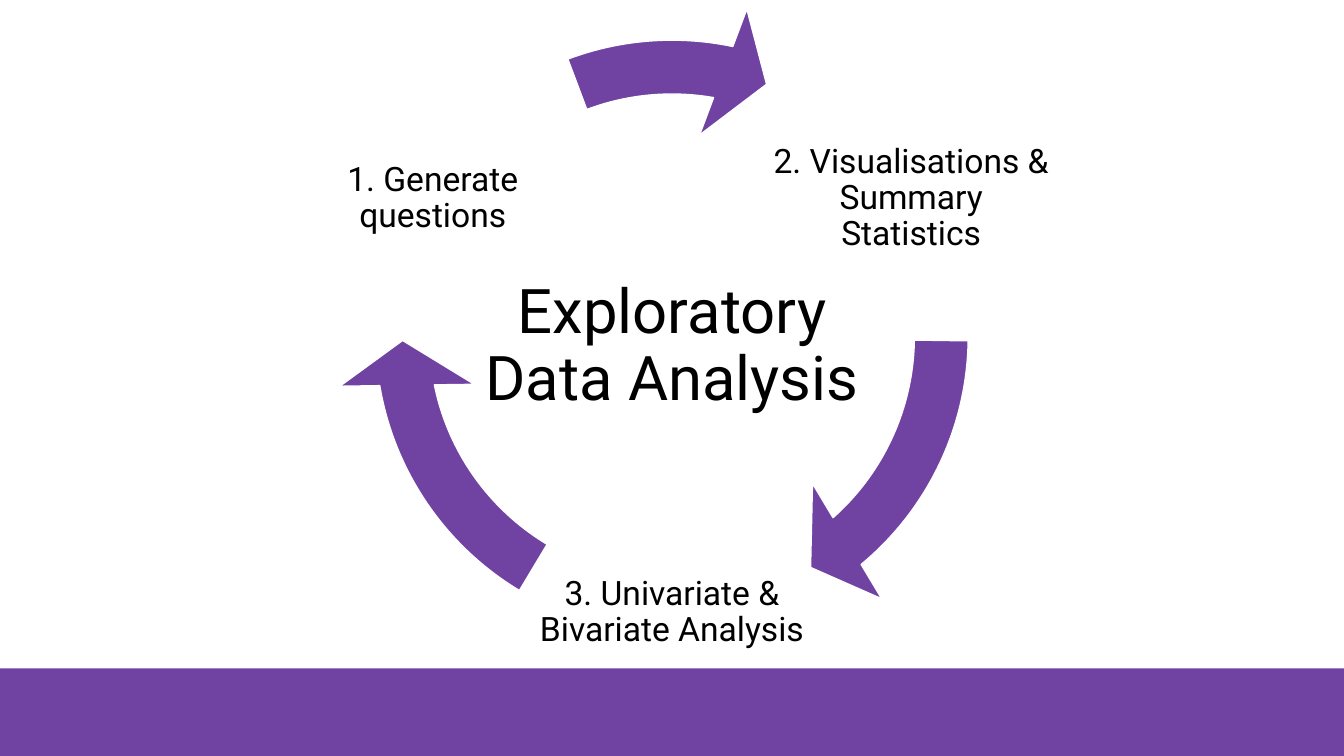
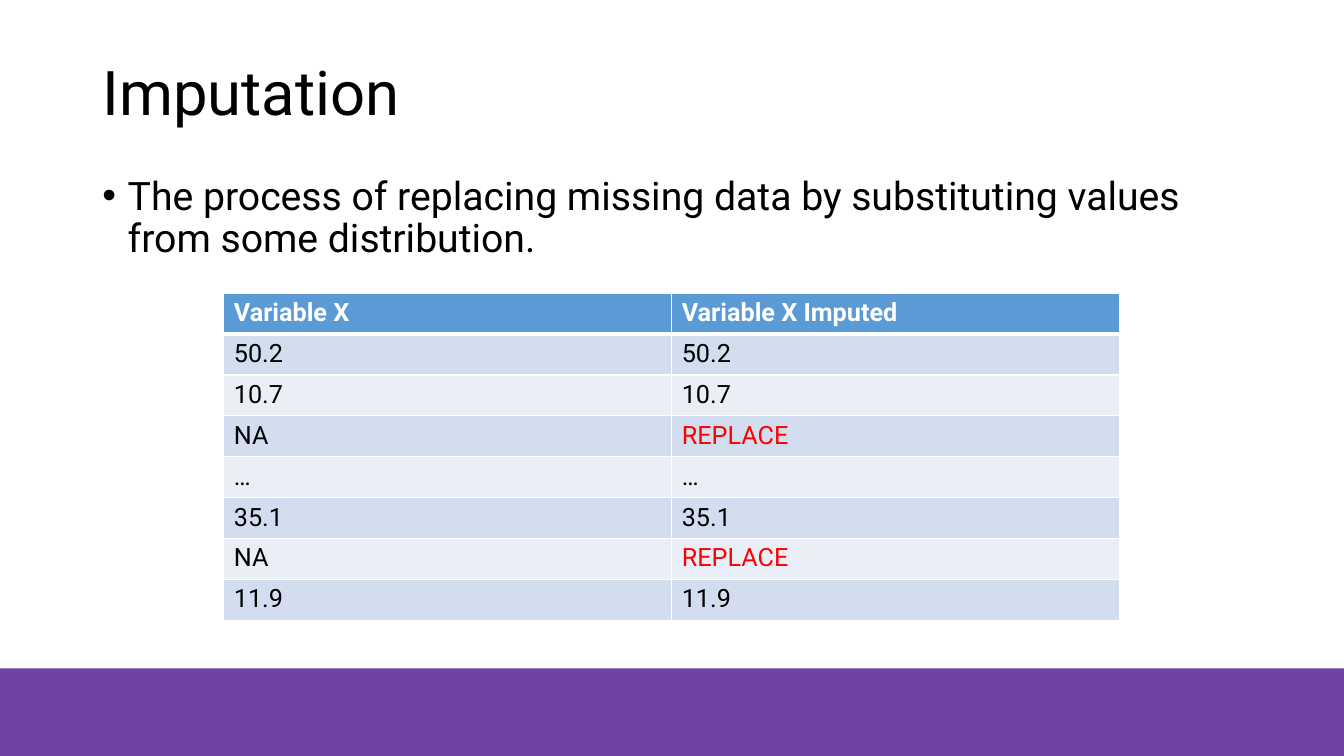
"""Build two slides on exploratory data analysis and imputation."""
from math import cos, radians, sin

from lxml import etree
from pptx import Presentation
from pptx.dml.color import RGBColor
from pptx.enum.shapes import MSO_SHAPE
from pptx.enum.text import MSO_ANCHOR, MSO_AUTO_SIZE, PP_ALIGN
from pptx.oxml.ns import qn
from pptx.util import Cm, Pt

RECT, ARC = MSO_SHAPE.RECTANGLE, MSO_SHAPE.CIRCULAR_ARROW
LEFT, MID = PP_ALIGN.LEFT, PP_ALIGN.CENTER
TOP, CORE = MSO_ANCHOR.TOP, MSO_ANCHOR.MIDDLE
FIXED = MSO_AUTO_SIZE.NONE
WIDE, HIGH = 33.87, 19.05
FONT = "Roboto"
HUES = {
    "band": "7043A2", "ink": "000000", "white": "FFFFFF", "alert": "FF0000",
    "head": "5B9BD5", "odd": "D2DEEF", "even": "EAEFF7",
}


def hue(name):
    return RGBColor.from_string(HUES[name])


def write(frame, text, size=18, color="ink", bold=False, align=LEFT,
          space=1.0, before=0, bullet=False):
    para = frame.paragraphs[0]
    para.alignment, para.line_spacing = align, space
    para.space_before = Pt(before)
    run = para.add_run()
    run.text = text
    run.font.name, run.font.size, run.font.bold = FONT, Pt(size), bold
    run.font.color.rgb = hue(color)
    if bullet:
        props = para._p.get_or_add_pPr()
        props.set("marL", str(Cm(0.64)))
        props.set("indent", str(-Cm(0.64)))
        etree.SubElement(props, qn("a:buFont"), typeface="Arial")
        etree.SubElement(props, qn("a:buChar"), char="•")


class Deck:
    def __init__(self):
        self.show = Presentation()
        self.show.slide_width, self.show.slide_height = Cm(WIDE), Cm(HIGH)
        self.slide = None

    def page(self, title, box, align=LEFT):
        self.slide = self.show.slides.add_slide(self.show.slide_layouts[5])
        self.shape(RECT, (0, 16.84, WIDE, HIGH - 16.84))
        head = self.slide.shapes.title
        head.left, head.top, head.width, head.height = map(Cm, box)
        frame = head.text_frame
        frame.word_wrap, frame.auto_size = True, FIXED
        frame.vertical_anchor = CORE
        write(frame, title, size=44, align=align, space=0.9)

    def shape(self, kind, box, line=None):
        form = self.slide.shapes.add_shape(kind, *map(Cm, box))
        form.shadow.inherit = False
        form.fill.solid()
        form.fill.fore_color.rgb = hue("band")
        if line:
            form.line.color.rgb, form.line.width = hue(line), Pt(1)
        else:
            form.line.fill.background()
        return form

    def arrow(self, box, start, end):
        form = self.shape(ARC, box, line="white")
        turn = 0.6
        values = (0.08, 9.6 * turn, end * turn, start * turn, 0.1)
        for i, value in enumerate(values):
            form.adjustments[i] = value

    def text(self, box, text, inset=0.25, anchor=TOP, **style):
        frame = self.slide.shapes.add_textbox(*map(Cm, box)).text_frame
        frame.word_wrap, frame.auto_size = True, FIXED
        frame.vertical_anchor = anchor
        frame.margin_left = frame.margin_right = Cm(inset)
        frame.margin_top = frame.margin_bottom = Cm(min(inset, 0.13))
        write(frame, text, space=0.9, **style)

    def edge(self, cell, side, width):
        line = etree.SubElement(cell._tc.get_or_add_tcPr(),
                                qn("a:ln" + side), w=str(Pt(width)))
        fill = etree.SubElement(line, qn("a:solidFill"))
        etree.SubElement(fill, qn("a:srgbClr"), val=HUES["white"])

    def table(self, box, rows):
        grid = self.slide.shapes.add_table(
            len(rows), len(rows[0]), *map(Cm, box)).table
        for r, row in enumerate(rows):
            for c, text in enumerate(row):
                cell = grid.cell(r, c)
                for side in "LRTB":
                    thick = (r, side) in ((0, "B"), (1, "T"))
                    self.edge(cell, side, 3 if thick else 1)
                shade = "head" if r == 0 else "odd" if r % 2 else "even"
                cell.fill.solid()
                cell.fill.fore_color.rgb = hue(shade)
                color = ("white" if r == 0 else
                         "alert" if text == "REPLACE" else "ink")
                write(cell.text_frame, text, color=color, bold=r == 0)


def cycle(deck):
    deck.page("Exploratory Data Analysis", (11.48, 6.88, 10.92, 3.73), MID)
    x, y, ring, orbit, side = WIDE / 2, 8.48, 16.97, 6.96, 7.19
    steps = (
        ("2. Visualisations & Summary Statistics", -30, 0.84, 49.43),
        ("3. Univariate & Bivariate Analysis", 90, 120.98, 169.56),
        ("1. Generate questions", 210, 249.43, 280.97),
    )
    for text, angle, start, end in steps:
        left = x + orbit * cos(radians(angle)) - side / 2
        top = y + orbit * sin(radians(angle)) - side / 2
        deck.text((left, top, side, side), text, inset=0.08, anchor=CORE,
                  size=24, align=MID)
        deck.arrow((x - ring / 2, y - ring / 2, ring, ring), start, end)


def impute(deck):
    deck.page("Imputation", (2.33, 1.02, 29.21, 2.8))
    deck.text((2.33, 4.32, 29.21, 2.8),
              "The process of replacing missing data by substituting values "
              "from some distribution.", size=28, before=10, bullet=True)
    data = ("50.2", "10.7", "NA", "…", "35.1", "NA", "11.9")
    rows = [("Variable X", "Variable X Imputed")]
    rows += [(v, "REPLACE" if v == "NA" else v) for v in data]
    deck.table((5.64, 7.39, 22.58, 8.24), rows)


def main():
    deck = Deck()
    cycle(deck)
    impute(deck)
    deck.show.save("out.pptx")


if __name__ == "__main__":
    main()
